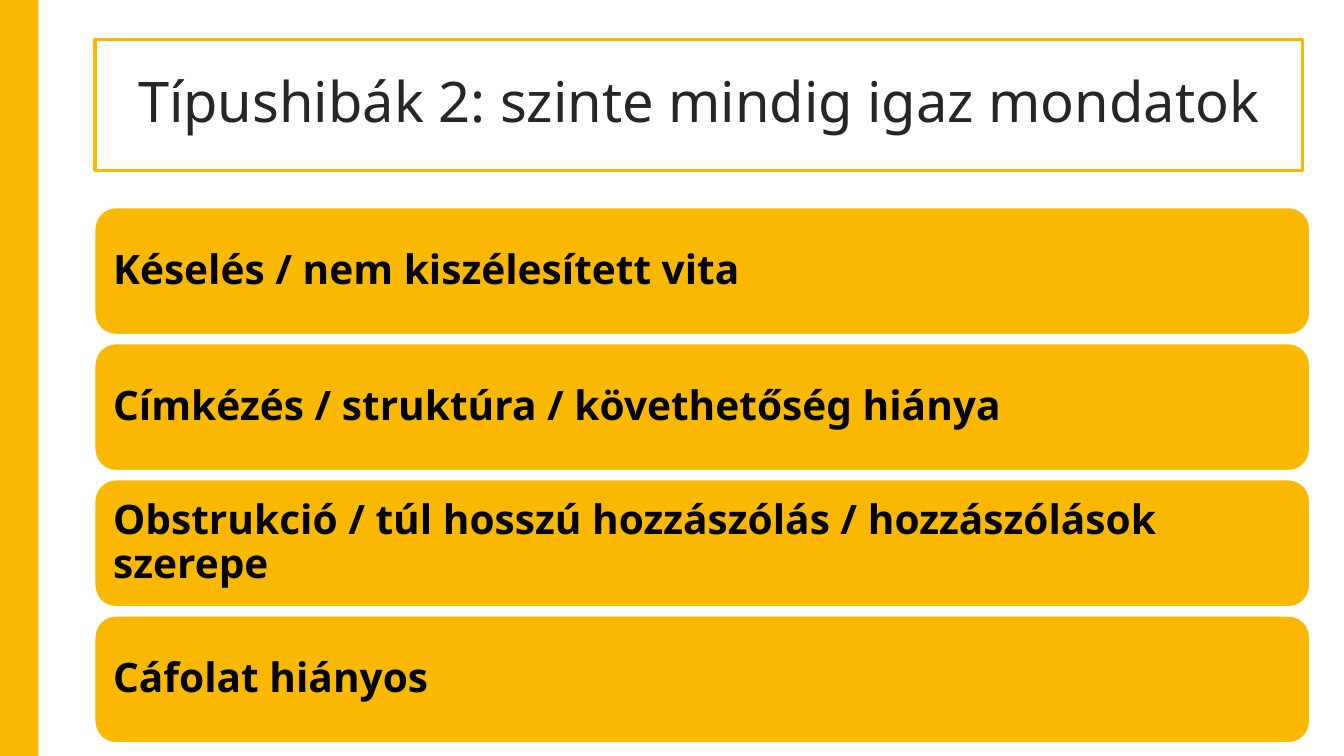
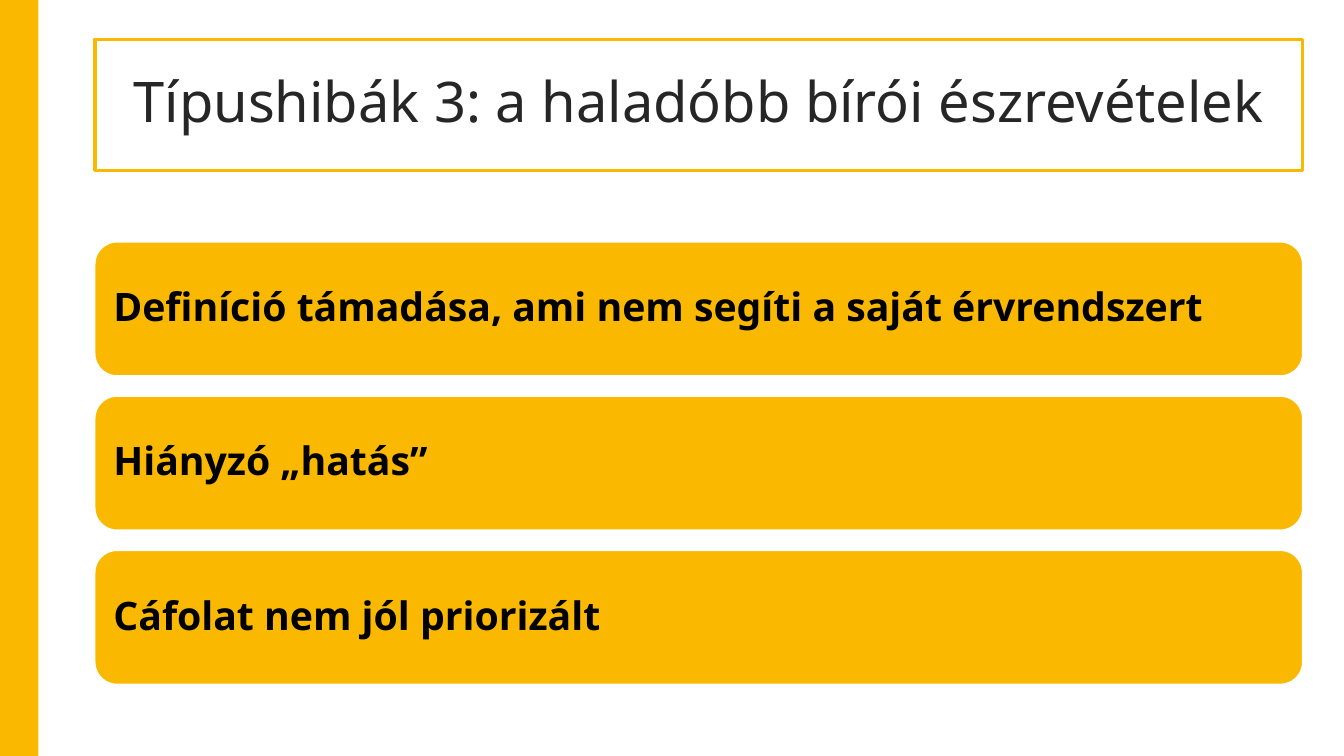
import pptx
import pptx.dml.color
import pptx.enum.shapes
import pptx.enum.text
import pptx.util
from pptx.util import Inches

COLORS = {"accent": "FAB900", "title": "262626", "text": "000000", "white": "FFFFFF"}
FONT = "Noto Sans"
LEFT = 0.94
WIDTH = 11.98


def rgb(name):
    return pptx.dml.color.RGBColor.from_string(COLORS[name])


class Deck:
    def __init__(self):
        self.prs = pptx.Presentation()
        self.prs.slide_width = Inches(13.33)
        self.prs.slide_height = Inches(7.5)
        self.s = None

    def add_slide(self, title):
        self.s = self.prs.slides.add_slide(self.prs.slide_layouts[5])
        self.band()
        self.title(title)

    def outline(self, sp, color, width):
        sp.line.color.rgb = rgb(color)
        sp.line.width = pptx.util.Pt(width)

    def shape(self, kind, left, top, width, height):
        sp = self.s.shapes.add_shape(
            kind, Inches(left), Inches(top), Inches(width), Inches(height))
        sp.shadow.inherit = False
        sp.fill.solid()
        sp.fill.fore_color.rgb = rgb("accent")
        return sp

    def text(self, sp, text, size, color, bold, align, inset):
        tf = sp.text_frame
        tf.text = text
        tf.word_wrap = True
        tf.auto_size = pptx.enum.text.MSO_AUTO_SIZE.NONE
        tf.vertical_anchor = pptx.enum.text.MSO_ANCHOR.MIDDLE
        tf.margin_left = tf.margin_right = Inches(inset)
        tf.margin_top = tf.margin_bottom = Inches(inset)
        p = tf.paragraphs[0]
        p.alignment = align
        p.line_spacing = 0.9
        p.font.name = FONT
        p.font.size = pptx.util.Pt(size)
        p.font.bold = bold
        p.font.color.rgb = rgb(color)

    def band(self):
        sp = self.shape(pptx.enum.shapes.MSO_SHAPE.RECTANGLE, 0, 0, 0.38, 7.5)
        sp.line.fill.background()

    def title(self, text):
        sp = self.s.shapes.title
        sp.left, sp.top = Inches(LEFT), Inches(0.39)
        sp.width, sp.height = Inches(WIDTH), Inches(1.3)
        self.outline(sp, "accent", 2.5)
        self.text(sp, text, 40, "title", False, pptx.enum.text.PP_ALIGN.CENTER, 0.2)

    def bars(self, items, top, width, height, pitch, size):
        for i, item in enumerate(items):
            sp = self.shape(pptx.enum.shapes.MSO_SHAPE.ROUNDED_RECTANGLE,
                            LEFT, top + i * pitch, width, height)
            self.outline(sp, "white", 1)
            self.text(sp, item, size, "text", True, pptx.enum.text.PP_ALIGN.LEFT, 0.12)


deck = Deck()

deck.add_slide("Típushibák 2: szinte mindig igaz mondatok")
deck.bars([
    "Késelés / nem kiszélesített vita",
    "Címkézés / struktúra / követhetőség hiánya",
    "Obstrukció / túl hosszú hozzászólás / hozzászólások szerepe",
    "Cáfolat hiányos",
], top=2.06, width=12.05, height=1.26, pitch=1.35, size=29)

deck.add_slide("Típushibák 3: a haladóbb bírói észrevételek")
deck.bars([
    "Definíció támadása, ami nem segíti a saját érvrendszert",
    "Hiányzó „hatás”",
    "Cáfolat nem jól priorizált",
], top=2.4, width=WIDTH, height=1.33, pitch=1.53, size=28)

deck.prs.save("out.pptx")
